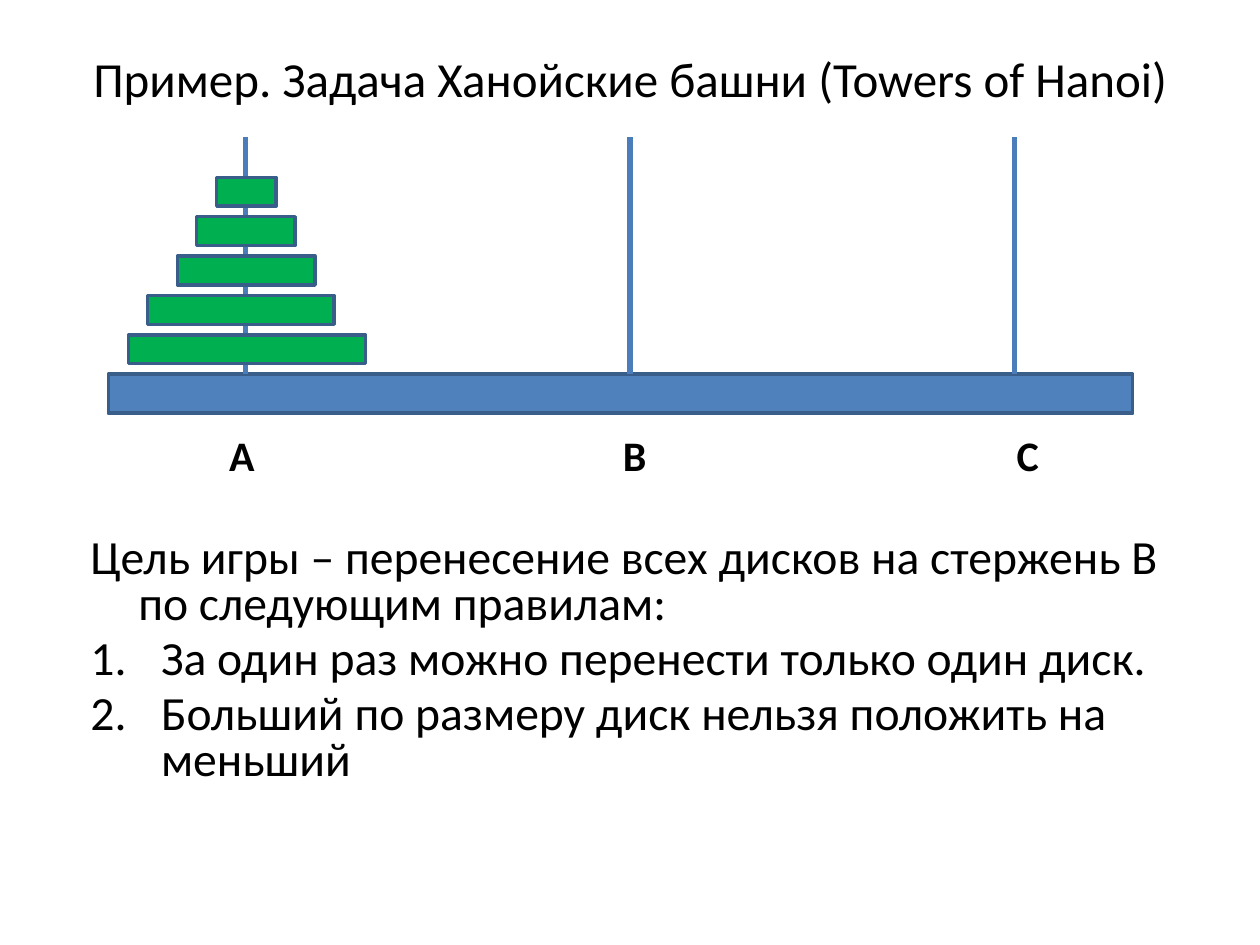
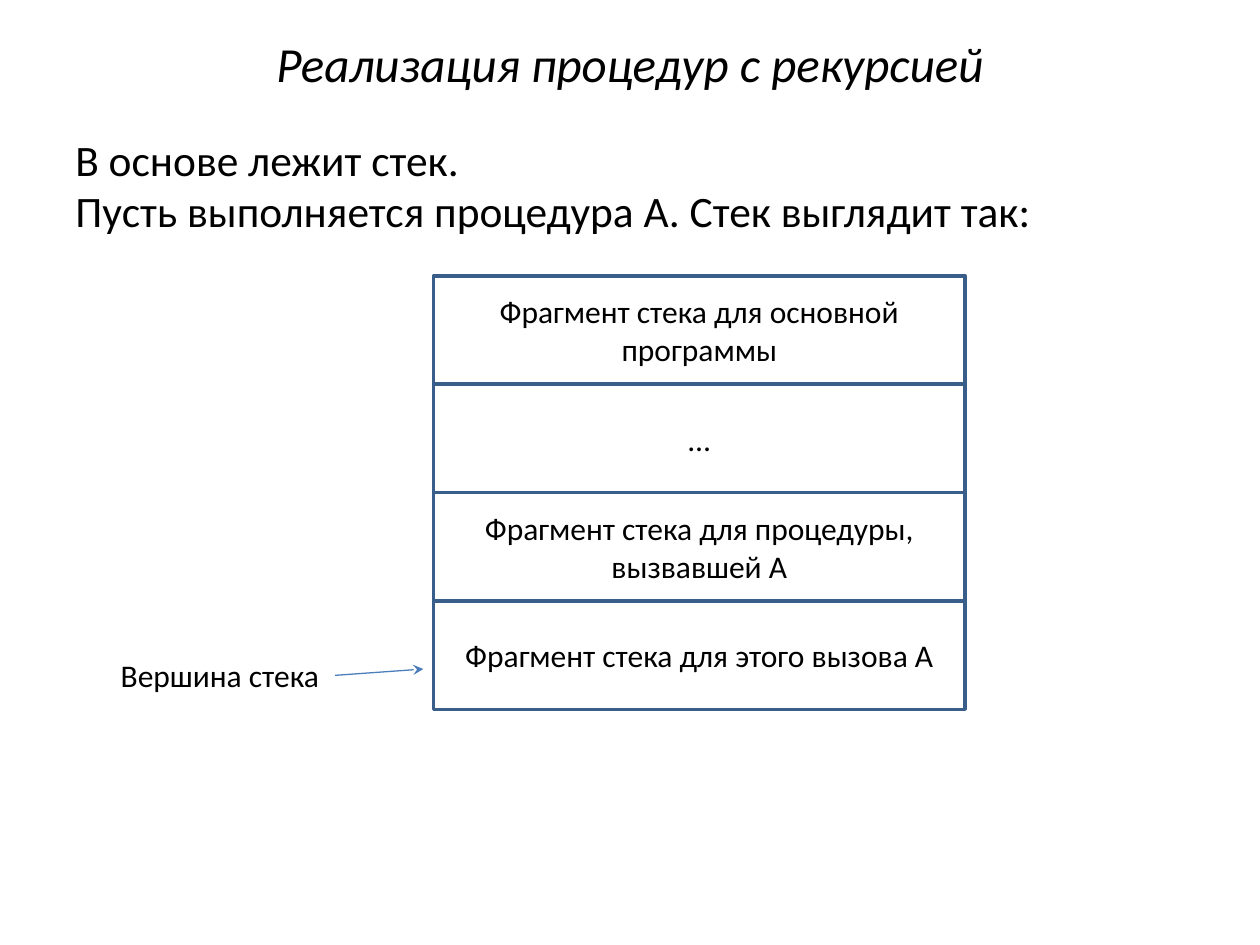
from lxml import etree
from pptx import Presentation
from pptx.dml.color import RGBColor
from pptx.enum.shapes import MSO_CONNECTOR, MSO_SHAPE
from pptx.enum.text import MSO_ANCHOR, PP_ALIGN
from pptx.oxml.ns import qn
from pptx.util import Inches, Pt

RECTANGLE = MSO_SHAPE.RECTANGLE
STRAIGHT = MSO_CONNECTOR.STRAIGHT
LEFT, CENTER = PP_ALIGN.LEFT, PP_ALIGN.CENTER
TOP, MIDDLE = MSO_ANCHOR.TOP, MSO_ANCHOR.MIDDLE

FONT = "Calibri"
BLACK = "000000"
BLUE = "4F81BD"
OUTLINE = "395E89"
CONNECTOR = "4A7DBA"
GREEN = "00B050"


def color(value):
    return RGBColor.from_string(value)


def write(paragraph, text, size=18, bold=False, italic=False, align=LEFT,
          indent=0, numbered=False, spacing=1.0, before=0):
    run = paragraph.add_run()
    run.text = text
    run.font.name = FONT
    run.font.size = Pt(size)
    run.font.bold = bold
    run.font.italic = italic
    run.font.color.rgb = color(BLACK)
    paragraph.alignment = align
    paragraph.line_spacing = spacing
    paragraph.space_before = Pt(before)
    properties = paragraph._p.get_or_add_pPr()
    properties.set("marL", str(Inches(indent)))
    properties.set("indent", str(-Inches(indent)))
    if numbered:
        etree.SubElement(properties, qn("a:buFont"), typeface="+mj-lt")
        etree.SubElement(properties, qn("a:buAutoNum"), type="arabicPeriod")


class Deck:
    def __init__(self):
        self.presentation = Presentation()
        self.presentation.slide_width = Inches(10)
        self.presentation.slide_height = Inches(7.5)
        self.slide = None

    def add_slide(self, title, height, italic=False):
        self.slide = self.presentation.slides.add_slide(self.presentation.slide_layouts[6])
        frame = self.text_box(0.5, 0.3, 9, height, MIDDLE)
        write(frame.paragraphs[0], title, size=28, italic=italic, align=CENTER)

    def text_box(self, left, top, width, height, anchor=TOP):
        box = self.slide.shapes.add_textbox(*map(Inches, (left, top, width, height)))
        box.text_frame.word_wrap = True
        box.text_frame.vertical_anchor = anchor
        return box.text_frame

    def label(self, text, left, top, width, height, **style):
        write(self.text_box(left, top, width, height).paragraphs[0], text, **style)

    def body(self, left, top, width, height, size, before, items):
        frame = self.text_box(left, top, width, height)
        for index, (text, numbered) in enumerate(items):
            paragraph = frame.add_paragraph() if index else frame.paragraphs[0]
            write(paragraph, text, size=size, spacing=0.8, numbered=numbered,
                  indent=0.56 if numbered else 0.38, before=before if index else 0)

    def rectangle(self, left, top, width, height, fill=None, text=None):
        shape = self.slide.shapes.add_shape(RECTANGLE, *map(Inches, (left, top, width, height)))
        shape.shadow.inherit = False
        if fill:
            shape.fill.solid()
            shape.fill.fore_color.rgb = color(fill)
        else:
            shape.fill.background()
        shape.line.color.rgb = color(OUTLINE)
        shape.line.width = Pt(2)
        if text:
            shape.text_frame.word_wrap = True
            shape.text_frame.vertical_anchor = MIDDLE
            write(shape.text_frame.paragraphs[0], text, align=CENTER)

    def line(self, start, end, width, arrow=False):
        connector = self.slide.shapes.add_connector(STRAIGHT, *map(Inches, (*start, *end)))
        connector.line.color.rgb = color(CONNECTOR)
        connector.line.width = Pt(width)
        if arrow:
            etree.SubElement(connector.line._get_or_add_ln(), qn("a:tailEnd"), type="stealth")
        etree.SubElement(connector._element.spPr, qn("a:effectLst"))


def add_towers(deck):
    deck.add_slide("Пример. Задача Ханойские башни (Towers of Hanoi)", 0.64)
    deck.body(0.62, 4.22, 9, 2.27, 27.2, 5.4, [
        ("Цель игры – перенесение всех дисков на стержень B по следующим правилам:", False),
        ("За один раз можно перенести только один диск.", True),
        ("Больший по размеру диск нельзя положить на меньший", True),
    ])
    base_top = 2.97
    deck.rectangle(0.86, base_top, 8.13, 0.31, BLUE)
    for index, name in enumerate("ABC"):
        rod = 1.95 + 3.05 * index
        deck.line((rod, 1.09), (rod, base_top), 3)
        deck.label(name, 1.72 + 3.125 * index, 3.36, 0.41, 0.5, size=24, bold=True)
    disks = [(1.02, 1.88), (1.17, 1.48), (1.41, 1.09), (1.56, 0.78), (1.72, 0.47)]
    for level, (left, width) in enumerate(disks, start=1):
        deck.rectangle(left, base_top - 0.3125 * level, width, 0.23, GREEN)


def add_stack(deck):
    deck.add_slide("Реализация процедур с рекурсией", 0.4, italic=True)
    deck.body(0.5, 1.09, 9, 0.86, 24.8, 5, [
        ("В основе лежит стек.", False),
        ("Пусть выполняется процедура А. Стек выглядит так:", False),
    ])
    frames = [
        "Фрагмент стека для основной программы",
        "…",
        "Фрагмент стека для процедуры, вызвавшей А",
        "Фрагмент стека для этого вызова А",
    ]
    height = 0.86
    for index, text in enumerate(frames):
        deck.rectangle(3.44, 2.19 + height * index, 4.22, height, text=text)
    deck.label("Вершина стека", 0.86, 5.16, 1.8, 0.4)
    deck.line((2.66, 5.36), (3.36, 5.31), 0.75, arrow=True)


def main():
    deck = Deck()
    add_towers(deck)
    add_stack(deck)
    deck.presentation.save("out.pptx")


if __name__ == "__main__":
    main()
